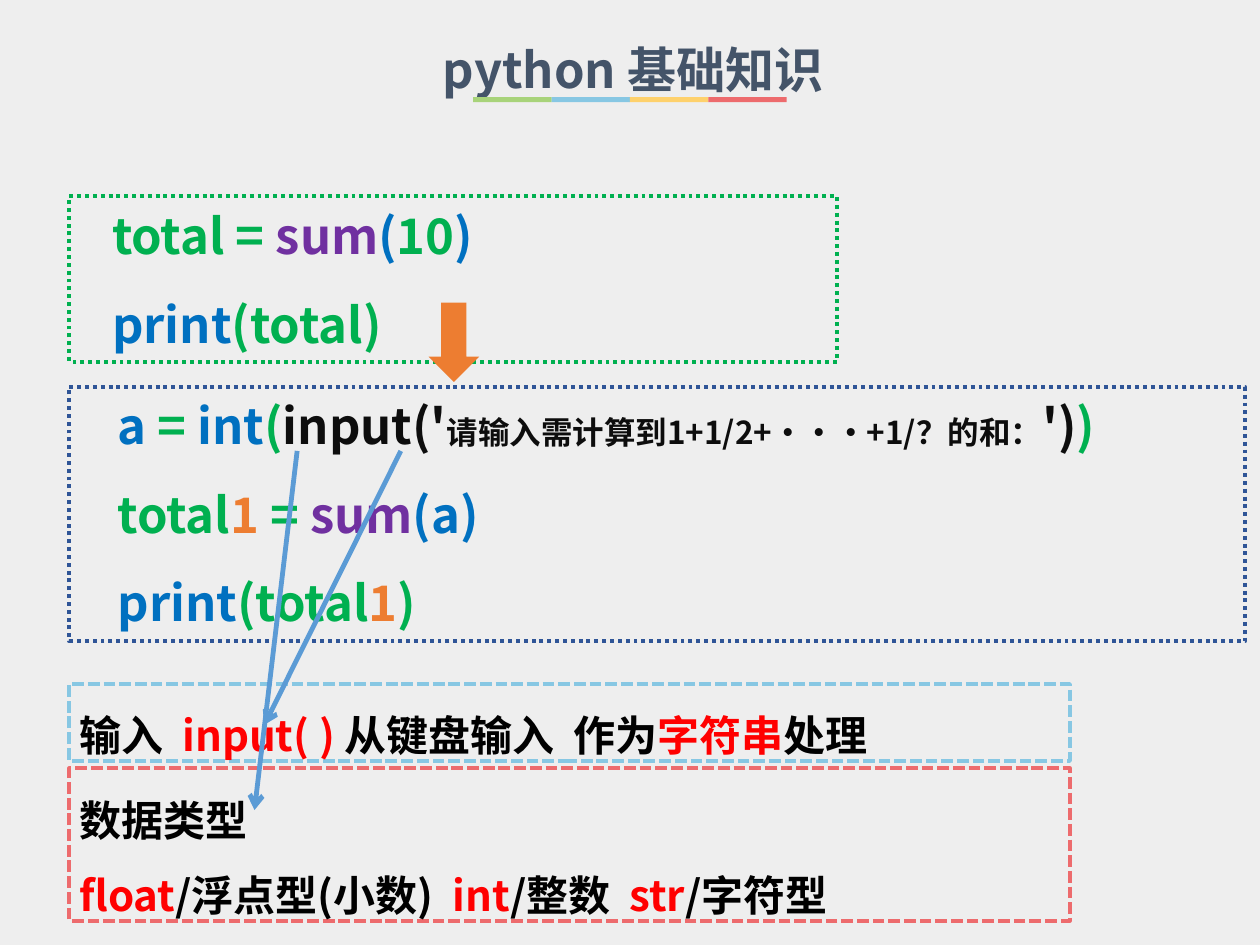
from pptx import Presentation
from pptx.dml.color import RGBColor
from pptx.enum import dml, shapes, text
from pptx.oxml.ns import qn
from pptx.util import Cm, Pt
from lxml import etree

THEME = {
    "font": "Noto Sans CJK SC",
    "title": 28, "code": 28, "prompt": 18, "note": 24,
    "background": "EEEEEE", "heading": "445469", "black": "000000", "ink": "0D0D0D",
    "red": "FF0000", "green": "00B050", "purple": "7030A0", "blue": "0070C0",
    "orange": "ED7D31", "navy": "2F5597", "link": "5B9BD5",
    "lime": "A8D37A", "sky": "87C7E3", "yellow": "FED16C", "coral": "ED6B6D",
}

# Content: each line is a list of (text, colour[, size])
TITLE = [[("python 基础知识", "heading")]]
BAR_COLOURS = ["lime", "sky", "yellow", "coral"]
DATA_TYPES = [
    [("数据类型", "black")],
    [("float", "red"), ("/浮点型(小数)  ", "black"), ("int", "red"),
     ("/整数  ", "black"), ("str", "red"), ("/字符型", "black")],
]
INPUT_NOTE = [
    [("输入  ", "black"), ("input( ) ", "red"), ("从键盘输入  作为", "black"),
     ("字符串", "red"), ("处理", "black")],
]
FIXED_CODE = [
    [("total = ", "green"), ("sum", "purple"), ("(", "blue"), ("10", "green"), (")", "blue")],
    [("print", "blue"), ("(total)", "green")],
]
INPUT_CODE = [
    [("a", "blue"), (" = ", "green"), ("int", "blue"), ("(", "green"), ("input('", "ink"),
     ("请输入需计算到1+1/2+···+1/？的和：", "ink", "prompt"), ("')", "ink"), (")", "green")],
    [("total", "green"), ("1", "orange"), (" = ", "green"), ("sum", "purple"), ("(a)", "blue")],
    [("print", "blue"), ("(total", "green"), ("1", "orange"), (")", "green")],
]

# Places in cm: left, top, width, height
TITLE_PLACE = (5.79, 0.79, 13.94, 1.19)
NOTES = [  # place, border colour, lines
    ((1.4, 15.49, 20.17, 3.07), "coral", DATA_TYPES),
    ((1.4, 13.79, 20.17, 1.55), "sky", INPUT_NOTE),
]
CODE_BLOCKS = [  # text place, left inset, lines, frame place, frame colour
    ((-0.53, 3.43, 19.56, 3.84), 2.79, FIXED_CODE, (1.4, 3.96, 15.47, 3.33), "green"),
    ((0.97, 7.26, 23.39, 5.64), 1.4, INPUT_CODE, (1.4, 7.8, 23.7, 5.13), "navy"),
]
DOWN_ARROW = (8.64, 6.1, 1.02, 1.6)
POINTERS = [(8.08, 9.09, 5.33, 14.61), (5.99, 9.09, 5.13, 16.33)]  # from x, y to x, y


def colour(name):
    return RGBColor.from_string(THEME[name])


def lengths(place):
    return [Cm(value) for value in place]


def write(box, lines, size, left=0.0, edge=0.0, spacing=1.5,
          align=text.PP_ALIGN.LEFT, anchor=text.MSO_ANCHOR.TOP):
    frame = box.text_frame
    frame.word_wrap = True
    frame.auto_size = text.MSO_AUTO_SIZE.NONE
    frame.vertical_anchor = anchor
    frame.margin_left = Cm(left)
    frame.margin_right = frame.margin_top = frame.margin_bottom = Cm(edge)
    for number, line in enumerate(lines):
        para = frame.add_paragraph() if number else frame.paragraphs[0]
        para.alignment = align
        para.line_spacing = spacing
        para.space_before = Pt(0)
        for words, ink, *own_size in line:
            span = para.add_run()
            span.text = words
            font = span.font
            font.name, font.bold = THEME["font"], True
            font.size = Pt(THEME[own_size[0] if own_size else size])
            font.color.rgb = colour(ink)
            east_asian = etree.SubElement(span._r.get_or_add_rPr(), qn("a:ea"))
            east_asian.set("typeface", THEME["font"])


def add_filled(page, kind, place, fill):
    box = page.shapes.add_shape(kind, *lengths(place))
    box.shadow.inherit = False
    box.fill.solid()
    box.fill.fore_color.rgb = colour(fill)
    box.line.fill.background()


def add_frame(page, kind, place, border, dash):
    box = page.shapes.add_shape(kind, *lengths(place))
    box.shadow.inherit = False
    box.fill.background()
    box.line.color.rgb = colour(border)
    box.line.width = Pt(2.25)
    box.line.dash_style = dash
    return box


def add_pointer(page, ends):
    pointer = page.shapes.add_connector(shapes.MSO_CONNECTOR.STRAIGHT, *lengths(ends))
    pointer.line.color.rgb = colour("link")
    pointer.line.width = Pt(2.75)
    etree.SubElement(pointer.line._get_or_add_ln(), qn("a:tailEnd")).set("type", "arrow")
    etree.SubElement(pointer._element.spPr, qn("a:effectLst"))


def main():
    deck = Presentation()
    deck.slide_width, deck.slide_height = Cm(25.4), Cm(19.05)
    page = deck.slides.add_slide(deck.slide_layouts[5])
    page.background.fill.solid()
    page.background.fill.fore_color.rgb = colour("background")
    kinds = shapes.MSO_SHAPE

    # Title with a four-colour underline centred on the page
    title = page.shapes.title
    title.left, title.top, title.width, title.height = lengths(TITLE_PLACE)
    write(title, TITLE, "title", spacing=1.0, align=text.PP_ALIGN.CENTER)
    bar_width = 1.58
    bar_start = 12.7 - bar_width * len(BAR_COLOURS) / 2
    for number, fill in enumerate(BAR_COLOURS):
        add_filled(page, kinds.RECTANGLE,
                   (bar_start + number * bar_width, 1.96, bar_width, 0.1), fill)

    # Notes in dashed boxes
    for place, border, lines in NOTES:
        box = add_frame(page, kinds.RECTANGLE, place, border, dml.MSO_LINE.SQUARE_DOT)
        box.line._get_or_add_ln().find(qn("a:prstDash")).set("val", "sysDash")
        write(box, lines, "note", left=0.2, anchor=text.MSO_ANCHOR.MIDDLE)

    # Code blocks with dotted frames
    for place, inset, lines, frame_place, border in CODE_BLOCKS:
        box = page.shapes.add_textbox(*lengths(place))
        write(box, lines, "code", left=inset, edge=0.13)
        add_frame(page, kinds.FLOWCHART_PROCESS, frame_place, border, dml.MSO_LINE.ROUND_DOT)

    # Step arrow and pointers from the code to the notes
    add_filled(page, kinds.DOWN_ARROW, DOWN_ARROW, "orange")
    for ends in POINTERS:
        add_pointer(page, ends)

    deck.save("out.pptx")


if __name__ == "__main__":
    main()
